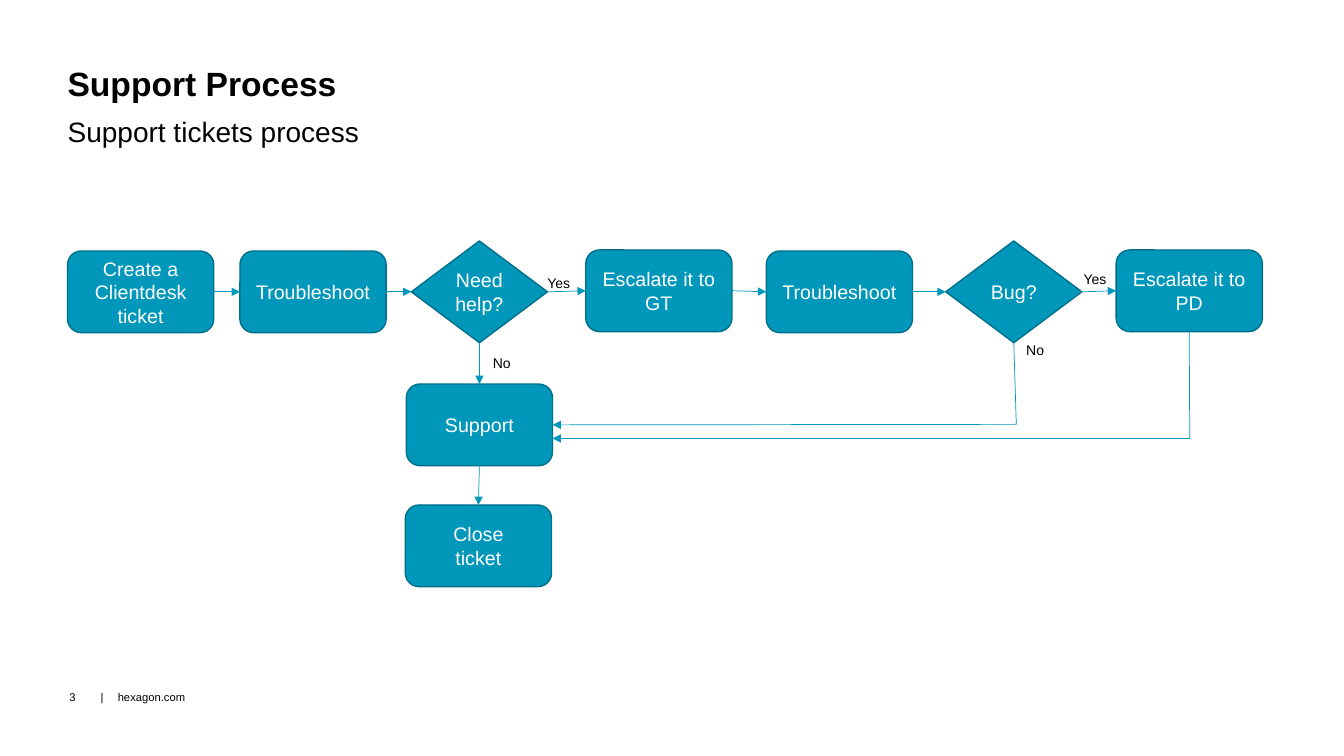
from dataclasses import dataclass

from lxml import etree
from pptx import Presentation
from pptx import util as u
from pptx.dml.color import RGBColor
from pptx.enum import shapes, text
from pptx.oxml.ns import qn


@dataclass(frozen=True)
class Theme:
    font: str = "Arial"
    ink: str = "000000"
    paper: str = "FFFFFF"
    fill: str = "0097BA"
    edge: str = "00708A"
    title: int = 24
    sub: int = 20
    node: int = 14
    label: int = 10
    foot: int = 8


THEME = Theme()
TOP, LEFT, BOTTOM, RIGHT = range(4)
ROUND = shapes.MSO_SHAPE.ROUNDED_RECTANGLE
DIAMOND = shapes.MSO_SHAPE.DIAMOND
SIZES = {ROUND: (1.45, 0.81), DIAMOND: (1.35, 1.01)}


def color(code):
    return RGBColor.from_string(code)


def style(para, size, ink=THEME.ink, bold=False):
    font = para.font
    font.name, font.size, font.bold = THEME.font, u.Pt(size), bold
    font.color.rgb = color(ink)


def place(shape, left, top, width, height):
    shape.left, shape.top = u.Inches(left), u.Inches(top)
    shape.width, shape.height = u.Inches(width), u.Inches(height)


def head(shape, words, box, size, pad, bold=False):
    """Fill a title or body placeholder with one flush-left line."""
    place(shape, *box)
    frame = shape.text_frame
    frame.text = words
    frame.auto_size = text.MSO_AUTO_SIZE.NONE
    frame.vertical_anchor = text.MSO_ANCHOR.TOP
    frame.margin_left = frame.margin_right = 0
    frame.margin_top = frame.margin_bottom = u.Inches(pad)
    para = frame.paragraphs[0]
    props = para._p.get_or_add_pPr()
    props.set("marL", "0")
    props.set("indent", "0")
    etree.SubElement(props, qn("a:buNone"))
    para.alignment = text.PP_ALIGN.LEFT
    para.line_spacing = 0.9
    para.space_before = u.Pt(0)
    style(para, size, bold=bold)


def note(slide, words, box, size, anchor=text.MSO_ANCHOR.TOP):
    left, top, width, height = map(u.Inches, box)
    frame = slide.shapes.add_textbox(left, top, width, height).text_frame
    frame.word_wrap = True
    frame.vertical_anchor = anchor
    frame.text = words
    style(frame.paragraphs[0], size)
    return frame.paragraphs[0]


def footer(slide, number, site):
    middle = text.MSO_ANCHOR.MIDDLE
    note(slide, number, (0.59, 6.72, 0.42, 0.4), THEME.foot, middle)
    para = note(slide, "|\t" + site, (0.9, 6.72, 4.5, 0.4), THEME.foot, middle)
    tabs = etree.Element(qn("a:tabLst"))
    etree.SubElement(tabs, qn("a:tab"), pos=str(u.Inches(0.17)), algn="l")
    para._p.get_or_add_pPr().insert(0, tabs)


def node(slide, words, left, top, kind=ROUND):
    width, height = SIZES[kind]
    shape = slide.shapes.add_shape(
        kind, u.Inches(left), u.Inches(top), u.Inches(width), u.Inches(height))
    shape.shadow.inherit = False
    shape.fill.solid()
    shape.fill.fore_color.rgb = color(THEME.fill)
    shape.line.color.rgb = color(THEME.edge)
    shape.line.width = u.Pt(1)
    frame = shape.text_frame
    frame.word_wrap = True
    frame.vertical_anchor = text.MSO_ANCHOR.MIDDLE
    frame.text = words
    for para in frame.paragraphs:
        para.alignment = text.PP_ALIGN.CENTER
        style(para, THEME.node, THEME.paper)
    return shape


def link(slide, start, end, arrow=True):
    """Draw a line; each end is a (shape, side) pair or an (x, y) point in inches."""
    line = slide.shapes.add_connector(shapes.MSO_CONNECTOR.STRAIGHT, 0, 0, 0, 0)
    if isinstance(start[0], float):
        line.begin_x, line.begin_y = map(u.Inches, start)
    else:
        line.begin_connect(*start)
    if isinstance(end[0], float):
        line.end_x, line.end_y = map(u.Inches, end)
    else:
        line.end_connect(*end)
    line.line.color.rgb = color(THEME.fill)
    line.line.width = u.Pt(0.5)
    if arrow:
        etree.SubElement(line.line._get_or_add_ln(), qn("a:tailEnd"), type="triangle")
    etree.SubElement(line._element.spPr, qn("a:effectLst"))


def main():
    deck = Presentation()
    deck.slide_width, deck.slide_height = u.Inches(13.33), u.Inches(7.5)
    slide = deck.slides.add_slide(deck.slide_layouts[1])

    head(slide.shapes.title, "Support Process", (0.67, 0.67, 12, 0.45),
         THEME.title, 0, bold=True)
    head(slide.placeholders[1], "Support tickets process", (0.67, 1.12, 12, 0.4),
         THEME.sub, 0.05)
    footer(slide, "3", "hexagon.com")

    steps = [
        ("Create a Clientdesk ticket", 0.67, 2.49, ROUND),
        ("Troubleshoot", 2.38, 2.49, ROUND),
        ("Need help?", 4.08, 2.39, DIAMOND),
        ("Escalate it to GT", 5.81, 2.48, ROUND),
        ("Troubleshoot", 7.6, 2.49, ROUND),
        ("Bug?", 9.38, 2.39, DIAMOND),
        ("Escalate it to PD", 11.07, 2.48, ROUND),
    ]
    row = [node(slide, *step) for step in steps]
    for left, right in zip(row, row[1:]):
        link(slide, (left, RIGHT), (right, LEFT))

    help_, bug, last = row[2], row[5], row[6]
    support = node(slide, "Support", 4.03, 3.81)
    close = node(slide, "Close\nticket", 4.02, 5.01)
    link(slide, (help_, BOTTOM), (support, TOP))
    link(slide, (support, BOTTOM), (close, TOP))

    turn = (10.08, 4.21)
    link(slide, (bug, BOTTOM), turn, arrow=False)
    link(slide, turn, (support, RIGHT))
    turn = (11.8, 4.35)
    link(slide, (last, BOTTOM), turn, arrow=False)
    link(slide, turn, (5.48, 4.35))

    for words, left, top in [("Yes", 5.33, 2.67), ("No", 4.79, 3.47),
                             ("No", 10.08, 3.34), ("Yes", 10.65, 2.63)]:
        note(slide, words, (left, top, 0.51, 0.27), THEME.label)

    deck.save("out.pptx")


if __name__ == "__main__":
    main()
